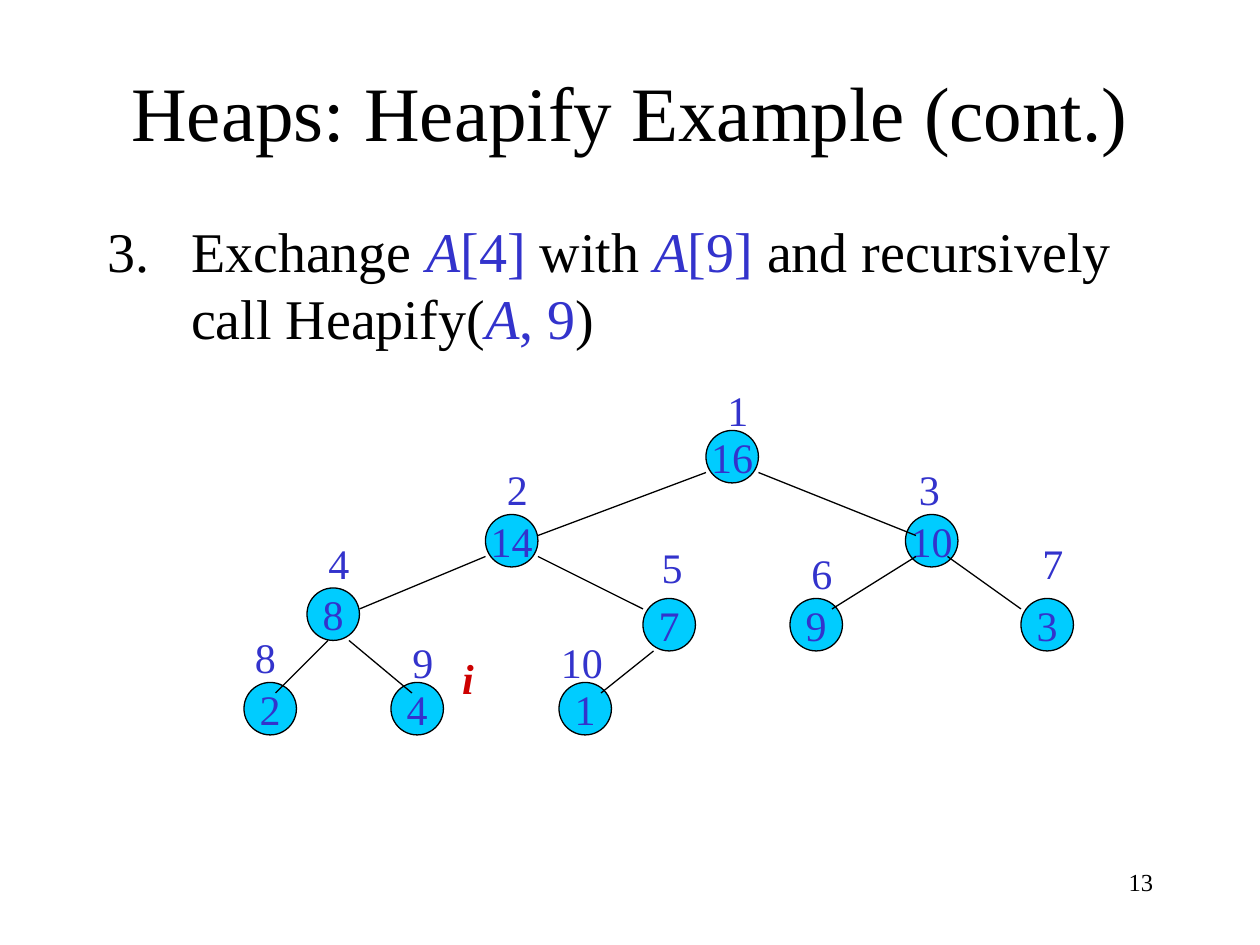
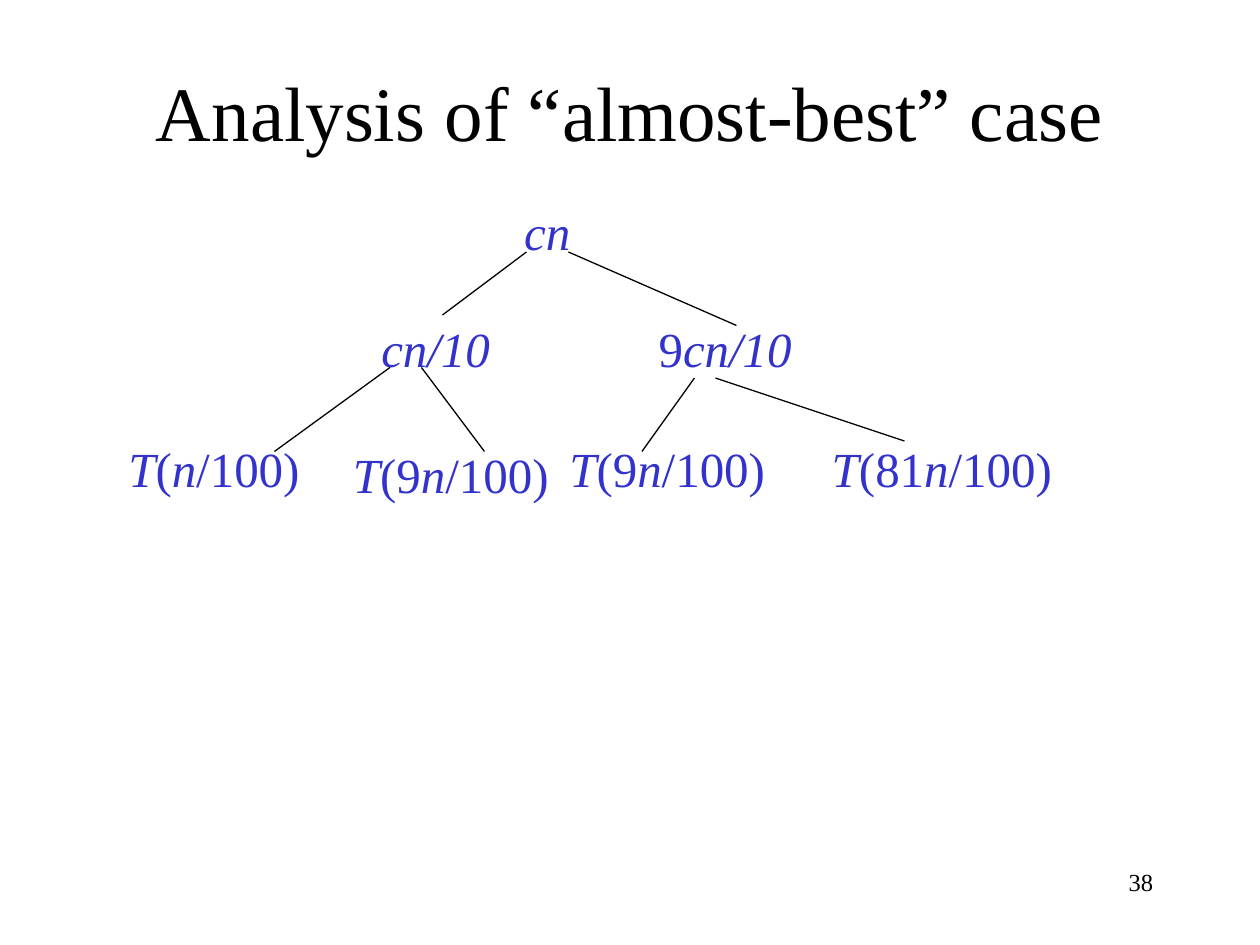
from lxml.etree import SubElement
from pptx import Presentation
from pptx.dml.color import RGBColor
from pptx.enum.shapes import MSO_CONNECTOR, MSO_SHAPE
from pptx.enum.text import MSO_ANCHOR, MSO_AUTO_SIZE, PP_ALIGN
from pptx.oxml.ns import qn
from pptx.util import Inches, Pt

FONT = "Times New Roman"
COLOURS = {"ink": "000000", "math": "3333CC", "node": "00CCFF", "marker": "CD0000"}
STYLES = {
    "plain": {"colour": "ink"},
    "math": {"colour": "math"},
    "variable": {"colour": "math", "italic": True},
    "marker": {"colour": "marker", "italic": True, "bold": True},
}
WIDTH, HEIGHT = Inches(10), Inches(7.5)
COLUMNS, ROWS = 120, 90
GRID_LEFT = Inches(0.02)
NODE_SIZE = 5
LABEL_ROWS = 6

# Value, column and row of the node, column and row of its index label
HEAP_NODES = [
    ("16", 67, 41, 67.85, 36),
    ("14", 46, 49, 46.85, 43.6),
    ("10", 86, 49, 86.1, 43.6),
    ("8", 29, 56, 29.85, 50.6),
    ("7", 61, 57, 61.6, 51),
    ("9", 75, 57, 75.85, 51.6),
    ("3", 97, 57, 97.85, 50.6),
    ("2", 23, 65, 22.85, 59.6),
    ("4", 37, 65, 37.85, 60),
    ("1", 53, 65, 52, 60),
]
# Column and row of the start, column and row of the end
HEAP_EDGES = [
    (67, 45, 51, 51), (72, 45, 87, 51),
    (46, 53, 34, 58), (51, 53, 61, 58),
    (87, 53, 79, 58), (90, 53, 97, 58),
    (31, 61, 26, 66), (33, 61, 39, 66),
    (62, 62, 57, 66),
]
# Column, row, width in columns, spans
COST_TERMS = [
    (48.5, 18.6, 7, [("cn", "variable")]),
    (34.9, 29.7, 13, [("cn/10", "variable")]),
    (61.3, 29.7, 15.3, [("9", "math"), ("cn/10", "variable")]),
]
# Column, row, width in columns, coefficient of n
SUBPROBLEMS = [
    (10.8, 41.2, 19, ""),
    (32.2, 41.7, 21.4, "9"),
    (52.8, 41.2, 21.4, "9"),
    (77.8, 41.2, 23.8, "81"),
]
COST_EDGES = [
    (49.9, 24, 41.9, 30), (53.9, 24, 69.9, 31),
    (36.9, 35, 25.9, 43), (39.9, 35, 45.9, 43),
    (65.9, 36, 60.9, 43), (67.9, 36, 85.9, 42),
]


def colour(name):
    return RGBColor.from_string(COLOURS[name])


def across(columns):
    return round(WIDTH * columns / COLUMNS)


def down(rows):
    return round(HEIGHT * rows / ROWS)


def grid_point(column, row):
    return GRID_LEFT + across(column), down(row)


def place(shape, left, top, width, height):
    """Move a shape to a frame given as shares of the slide's size."""
    frame = {"left": WIDTH * left, "top": HEIGHT * top,
             "width": WIDTH * width, "height": HEIGHT * height}
    for name, value in frame.items():
        setattr(shape, name, round(value))


def write(shape, spans, size, align=PP_ALIGN.LEFT, **frame_format):
    """Fill the shape's first paragraph with (text, style name) spans."""
    frame = shape.text_frame
    for name, value in frame_format.items():
        setattr(frame, name, value)
    para = frame.paragraphs[0]
    para.alignment = align
    for text, style in spans:
        span = para.add_run()
        span.text = text
        settings = {"name": FONT, "size": Pt(size), "bold": False, "italic": False}
        settings.update(STYLES[style])
        span.font.color.rgb = colour(settings.pop("colour"))
        for name, value in settings.items():
            setattr(span.font, name, value)
    return para


def number_paragraph(para, start, indent):
    properties = para._p.get_or_add_pPr()
    properties.set("marL", str(indent))
    properties.set("indent", str(-indent))
    bullet_colour = SubElement(properties, qn("a:buClr"))
    SubElement(bullet_colour, qn("a:srgbClr"), val=COLOURS["ink"])
    SubElement(properties, qn("a:buFont"), typeface=FONT)
    SubElement(properties, qn("a:buAutoNum"), type="arabicPeriod", startAt=str(start))


def add_page(deck, layout_name, title, number):
    page = deck.slides.add_slide(deck.slide_layouts.get_by_name(layout_name))
    place(page.shapes.title, 0.075, 1 / 30, 0.85, 1 / 6)
    write(page.shapes.title, [(title, "plain")], 44, PP_ALIGN.CENTER,
          vertical_anchor=MSO_ANCHOR.MIDDLE, auto_size=MSO_AUTO_SIZE.NONE)
    number_box = page.shapes.add_textbox(0, 0, 0, 0)
    place(number_box, 0.717, 0.911, 0.208, 1 / 15)
    write(number_box, [(str(number), "plain")], 14, PP_ALIGN.RIGHT, word_wrap=True)
    return page


def add_numbered_step(page, start, spans):
    body = page.placeholders[1]
    place(body, 0.075, 2 / 9, 0.85, 2 / 3)
    para = write(body, spans, 32, vertical_anchor=MSO_ANCHOR.TOP,
                 auto_size=MSO_AUTO_SIZE.NONE)
    para.space_before = Pt(8)
    number_paragraph(para, start, across(8))


def add_node(page, value, column, row):
    node = page.shapes.add_shape(MSO_SHAPE.OVAL, *grid_point(column, row),
                                 across(NODE_SIZE), down(NODE_SIZE))
    node.shadow.inherit = False
    node.fill.solid()
    node.fill.fore_color.rgb = colour("node")
    node.line.color.rgb = colour("ink")
    node.line.width = Pt(0.75)
    write(node, [(value, "math")], 24, PP_ALIGN.CENTER,
          vertical_anchor=MSO_ANCHOR.MIDDLE, word_wrap=False)


def add_label(page, column, row, width, spans, size=24, height=LABEL_ROWS):
    box = page.shapes.add_textbox(*grid_point(column, row), across(width), down(height))
    write(box, spans, size, word_wrap=False, auto_size=MSO_AUTO_SIZE.SHAPE_TO_FIT_TEXT)


def add_edges(page, edges):
    for start_column, start_row, end_column, end_row in edges:
        edge = page.shapes.add_connector(
            MSO_CONNECTOR.STRAIGHT,
            *grid_point(start_column, start_row), *grid_point(end_column, end_row))
        edge.line.color.rgb = colour("ink")
        edge.line.width = Pt(0.75)
        SubElement(edge._element.spPr, qn("a:effectLst"))


def add_heap(page):
    for value, column, row, _, _ in HEAP_NODES:
        add_node(page, value, column, row)
    add_edges(page, HEAP_EDGES)
    for index, (_, _, _, column, row) in enumerate(HEAP_NODES, start=1):
        width = 2.4 + 2 * len(str(index))
        add_label(page, column, row, width, [(str(index), "math")])
    add_label(page, 42.6, 61.6, 3.5, [("i", "marker")])


def add_recursion_tree(page):
    terms = COST_TERMS + [
        (column, row, width, [("T", "variable"), (f"({factor}", "math"),
                              ("n", "variable"), ("/100)", "math")])
        for column, row, width, factor in SUBPROBLEMS]
    for term in terms:
        add_label(page, *term, size=28, height=6.8)
    add_edges(page, COST_EDGES)


def main():
    deck = Presentation()
    deck.slide_width, deck.slide_height = WIDTH, HEIGHT

    heapify = add_page(deck, "Title and Content", "Heaps: Heapify Example (cont.)", 13)
    add_numbered_step(heapify, 3, [
        ("Exchange ", "plain"), ("A", "variable"), ("[4]", "math"),
        (" with ", "plain"), ("A", "variable"), ("[9]", "math"),
        (" and recursively call Heapify(", "plain"),
        ("A", "variable"), (", 9", "math"), (")", "plain"),
    ])
    add_heap(heapify)

    analysis = add_page(deck, "Title Only", "Analysis of “almost-best” case", 38)
    add_recursion_tree(analysis)

    deck.save("out.pptx")


if __name__ == "__main__":
    main()
